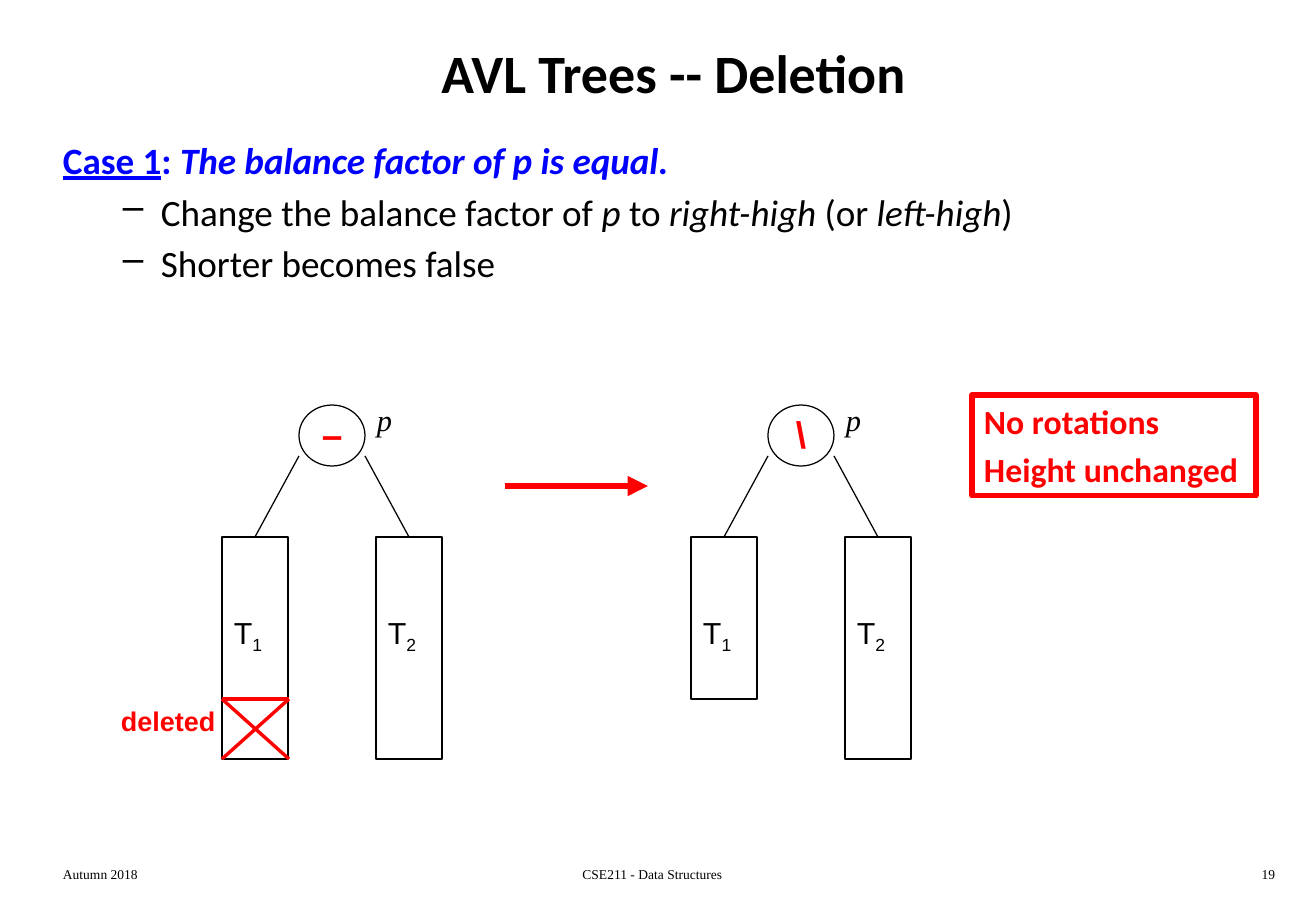
from lxml import etree
from pptx import Presentation
from pptx.dml.color import RGBColor
from pptx.enum.shapes import MSO_CONNECTOR, MSO_SHAPE
from pptx.enum.text import MSO_ANCHOR, PP_ALIGN
from pptx.oxml.ns import qn
from pptx.util import Emu, Pt

EMU_PER_PIXEL = 914400 / 121.5
BLACK = RGBColor(0, 0, 0)
RED = RGBColor(255, 0, 0)
BLUE = RGBColor(0, 0, 255)
SANS, SERIF, BODY = "Arial", "Times New Roman", "Calibri"


def px(value):
    """Turn pixels into EMU."""
    return Emu(round(value * EMU_PER_PIXEL))


class Canvas:
    """Holds the slide and its drawing style."""

    def __init__(self, slide, thin=0.75):
        """Keep the slide and the usual line width."""
        self.shapes = slide.shapes
        self.thin = thin

    def paragraph(self, frame, runs, size, font, color=BLACK, align=PP_ALIGN.LEFT,
                  dash=False, first=False):
        """Write runs of (text, flags); flags are b, i, u and s for subscript."""
        para = frame.paragraphs[0] if first else frame.add_paragraph()
        para.alignment = align
        if not first:
            para.space_before = Pt(size * 0.2)
        if dash:
            props = para._p.get_or_add_pPr()
            props.set("marL", str(px(98)))
            props.set("indent", str(px(-38)))
            etree.SubElement(props, qn("a:buChar")).set("char", "–")
        for text, flags in runs:
            run = para.add_run()
            run.text = text
            run.font.size, run.font.name = Pt(size), font
            run.font.color.rgb = color
            run.font.bold, run.font.italic = "b" in flags, "i" in flags
            run.font.underline = "u" in flags
            if "s" in flags:
                run._r.get_or_add_rPr().set("baseline", "-25000")

    def frame(self, left, top, width, height, anchor=MSO_ANCHOR.TOP):
        """Add an empty wrapping text box and return its text frame."""
        box = self.shapes.add_textbox(px(left), px(top), px(width), px(height))
        box.text_frame.word_wrap = True
        box.text_frame.vertical_anchor = anchor
        return box.text_frame

    def label(self, place, runs, size, font, color=BLACK, align=PP_ALIGN.LEFT,
              anchor=MSO_ANCHOR.TOP):
        """Add a text box of one paragraph."""
        self.paragraph(self.frame(*place, anchor), runs, size, font, color, align,
                       first=True)

    def outline(self, kind, left, top, width, height, color=BLACK, weight=None):
        """Add an unfilled preset shape."""
        shape = self.shapes.add_shape(kind, px(left), px(top), px(width), px(height))
        shape.shadow.inherit = False
        shape.fill.background()
        shape.line.color.rgb = color
        shape.line.width = Pt(weight or self.thin)
        return shape

    def line(self, x1, y1, x2, y2, color=BLACK, weight=None, arrow=False):
        """Add a straight line, with an arrowhead at its end if asked."""
        link = self.shapes.add_connector(MSO_CONNECTOR.STRAIGHT,
                                         px(x1), px(y1), px(x2), px(y2))
        link.line.color.rgb = color
        link.line.width = Pt(weight or self.thin)
        if arrow:
            etree.SubElement(link.line._get_or_add_ln(), qn("a:tailEnd")).set(
                "type", "triangle")
        etree.SubElement(link._element.spPr, qn("a:effectLst"))

    def tree(self, left, balance, balance_shift, t1_height):
        """Draw node p with its balance sign and subtrees T1 and T2."""
        node, width, top = left + 77, 66, 537
        self.outline(MSO_SHAPE.OVAL, node, 405, width, 61)
        self.label((node + balance_shift, 405, 55, 57), [(balance, "b")], 22, SANS, RED)
        self.label((node + width, 395, 77, 49), [("p", "i")], 18, SERIF)
        subtrees = [("1", left, node, t1_height), ("2", left + 154, node + width, 222)]
        for number, x, node_side, height in subtrees:
            self.outline(MSO_SHAPE.RECTANGLE, x, top, width, height)
            self.line(node_side, 456, x + width / 2, top)
            self.label((x, 608, width, 49), [("T", ""), (number, "s")], 18, SANS)


prs = Presentation()
prs.slide_width, prs.slide_height = px(1316), px(911)
canvas = Canvas(prs.slides.add_slide(prs.slide_layouts[6]))

canvas.label((51, 21, 1245, 102), [("AVL Trees -- Deletion", "b")], 32, BODY,
             align=PP_ALIGN.CENTER, anchor=MSO_ANCHOR.MIDDLE)

case = canvas.frame(51, 131, 1103, 192)
canvas.paragraph(case, [("Case 1", "bu"), (": ", "b"),
                        ("The balance factor of p is equal.", "bi")],
                 22, BODY, BLUE, first=True)
steps = [
    [("Change the balance factor of ", ""), ("p", "i"), (" to ", ""),
     ("right-high", "i"), (" (or ", ""), ("left-high", "i"), (")", "")],
    [("Shorter becomes false", "")],
]
for step in steps:
    canvas.paragraph(case, step, 22, BODY, dash=True)

footers = [(51, 275, "Autumn 2018", PP_ALIGN.LEFT),
           (406, 493, "CSE211 - Data Structures", PP_ALIGN.CENTER),
           (1012, 275, "19", PP_ALIGN.RIGHT)]
for left, width, text, align in footers:
    canvas.label((left, 860, width, 30), [(text, "")], 8, SERIF, align=align)

canvas.tree(222, "–", 11, 222)
canvas.tree(691, "\\", 16, 162)

for start, end in [((222, 699), (289, 699)), ((222, 699), (289, 759)),
                   ((289, 699), (222, 759))]:
    canvas.line(*start, *end, RED, 2)
canvas.label((109, 699, 153, 45), [("deleted", "b")], 16, SANS, RED)

canvas.line(505, 486, 648, 486, RED, 4, arrow=True)

result = canvas.outline(MSO_SHAPE.RECTANGLE, 972, 395, 284, 101, RED, 3).text_frame
result.word_wrap = True
result.vertical_anchor = MSO_ANCHOR.TOP
for index, text in enumerate(["No rotations", "Height unchanged"]):
    canvas.paragraph(result, [(text, "b")], 20, BODY, RED, first=index == 0)

prs.save("out.pptx")
